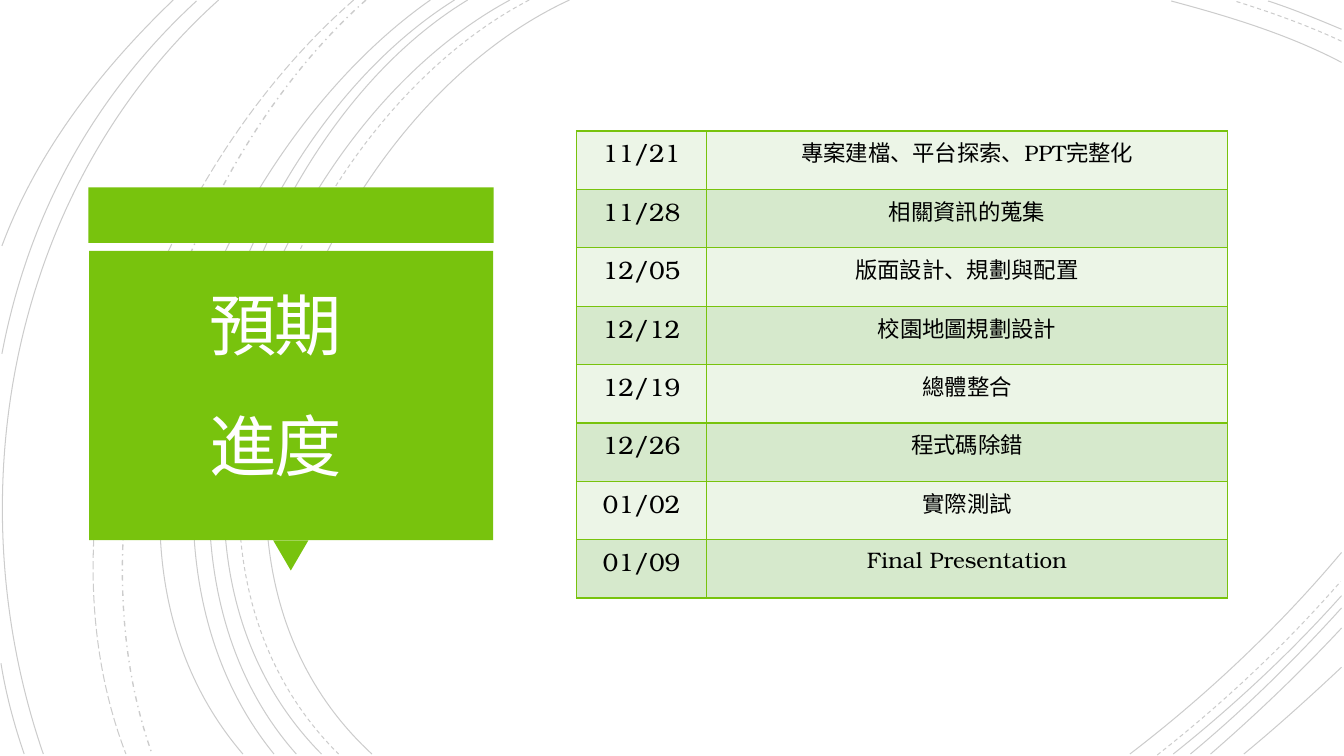
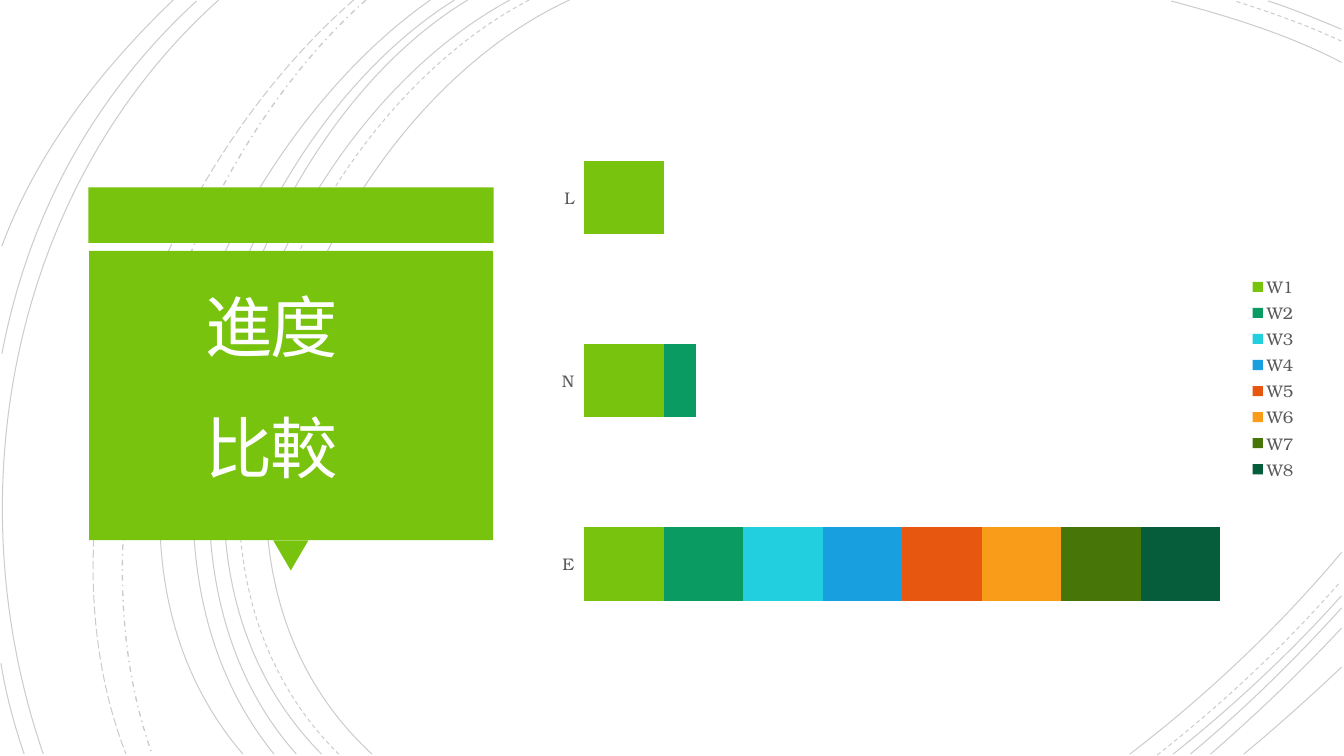
"""Build two schedule slides: a timetable and a progress chart."""
from lxml import etree
from pptx import Presentation
from pptx.chart.data import CategoryChartData
from pptx.dml.color import RGBColor
from pptx.enum.chart import XL_CHART_TYPE, XL_LEGEND_POSITION
from pptx.enum.dml import MSO_LINE
from pptx.enum.shapes import MSO_SHAPE
from pptx.enum.text import MSO_ANCHOR, PP_ALIGN
from pptx.oxml.ns import qn
from pptx.util import Pt

SOLID, DASH = MSO_LINE.SOLID, MSO_LINE.DASH
DASH_DOT, LONG_DASH = MSO_LINE.DASH_DOT, MSO_LINE.LONG_DASH
RECTANGLE, TRIANGLE = MSO_SHAPE.RECTANGLE, MSO_SHAPE.ISOSCELES_TRIANGLE
MIDDLE, CENTER = MSO_ANCHOR.MIDDLE, PP_ALIGN.CENTER
STACKED_BARS, LEGEND_RIGHT = XL_CHART_TYPE.BAR_STACKED, XL_LEGEND_POSITION.RIGHT

COLORS = {
    "accent": "78C30D", "title": "FFFEFF", "text": "000000", "label": "595959",
    "arc": "000000", "light row": "ECF5E7", "dark row": "D6E9CC",
    "W1": "78C30D", "W2": "099B62", "W3": "21CFDF", "W4": "179FDF",
    "W5": "E75710", "W6": "F89C19", "W7": "487508", "W8": "055D3B",
}
TITLE_FONT, BODY_FONT = "Calibri", "TeX Gyre Bonum"
ARC_OPACITY = 20

ARCS = {
    (SOLID, 0.75): [
        [(406.8, 0), (226.8, 82.8), (103, 388.8), (265.7, 538.6)],
        [(958.3, 44.6), (920.2, 24.5), (877, 11.5), (836.6, 0.7)],
        [(807.1, 538.6), (861.8, 496.8), (913.7, 447.8), (958.3, 394.6)],
        [(364.3, 0), (194.4, 91.4), (79.2, 386.6), (229.7, 538.6)],
        [(958.3, 20.9), (941, 13.7), (923.8, 6.5), (905.8, 0.7)],
        [(838.1, 538.6), (880.6, 504.7), (921.6, 466.6), (958.3, 425.5)],
        [(334.1, 0), (175.7, 95.8), (79.2, 389.5), (211.7, 538.6)],
        [(850.3, 538.6), (888.5, 506.9), (924.5, 471.6), (958.3, 434.2)],
        [(324.7, 0), (166.3, 99.4), (69.8, 383.8), (195.8, 538.6)],
        [(864.7, 538.6), (897.1, 510.5), (928.8, 480.2), (958.3, 448.6)],
        [(307.4, 0), (156.2, 105.8), (38.2, 380.9), (173.5, 538.6)],
        [(888.5, 538.6), (912.2, 519.1), (935.3, 498.2), (958.3, 476.6)],
        [(156.2, 0), (7.9, 133.2), (-33.1, 352.8), (31, 538.6)],
        [(140.4, 0.7), (66.2, 69.1), (20.2, 154.1), (1.4, 252.7)],
        [(0.7, 473.8), (4.3, 496.1), (10.1, 517.7), (17.3, 538.6)],
        [(123.8, 0), (72, 49.7), (26.6, 108), (1.4, 175.7)],
    ],
    (DASH, 0.75): [
        [(378, 0), (205.2, 90), (88.6, 386.6), (241.9, 538.6)],
        [(958.3, 29.5), (933.8, 18), (907.2, 8.6), (882, 0.7)],
        [(826.6, 539.3), (873.4, 502.6), (918, 460.8), (957.6, 415.4)],
    ],
    (DASH_DOT, 1): [[(261.4, 0), (126.7, 119.5), (46.8, 366.5), (108.7, 538.6)]],
    (LONG_DASH, 0.75): [[(252.7, 0), (113, 121.7), (20.9, 359.3), (90, 538.6)]],
}

SCHEDULE = [
    ("11/21", "專案建檔、平台探索、PPT完整化"),
    ("11/28", "相關資訊的蒐集"),
    ("12/05", "版面設計、規劃與配置"),
    ("12/12", "校園地圖規劃設計"),
    ("12/19", "總體整合"),
    ("12/26", "程式碼除錯"),
    ("01/02", "實際測試"),
    ("01/09", "Final Presentation"),
]
PROGRESS = {"E": [100] * 8, "N": [100, 40] + [0] * 6, "L": [100] + [0] * 7}
WEEKS = [f"W{number}" for number in range(1, 9)]


def rgb(name):
    """Return the named colour."""
    return RGBColor.from_string(COLORS[name])


def style_font(font, size, color, face=BODY_FONT):
    """Set size, colour and typeface of a font."""
    font.size, font.name = Pt(size), face
    font.color.rgb = rgb(color)


def add_arc(shapes, points, dash, width):
    """Draw one faint open Bezier arc through its four control points."""
    start, *others = [(Pt(x), Pt(y)) for x, y in points]
    builder = shapes.build_freeform(*start)
    builder.add_line_segments(others, close=False)
    arc = builder.convert_to_shape()
    arc.shadow.inherit = False
    arc.fill.background()
    arc.line.width, arc.line.dash_style = Pt(width), dash
    arc.line.color.rgb = rgb("arc")
    arc_color = arc.line._get_or_add_ln().find(".//" + qn("a:srgbClr"))
    etree.SubElement(arc_color, qn("a:alpha"), val=str(ARC_OPACITY * 1000))
    outline = arc._element.find(".//" + qn("a:path"))
    segments = outline.findall(qn("a:lnTo"))
    curve = etree.SubElement(outline, qn("a:cubicBezTo"))
    for segment in segments:
        curve.append(segment[0])
        outline.remove(segment)


def add_block(shapes, kind, left, top, width, height, rotation=0):
    """Add one plain accent-coloured shape."""
    block = shapes.add_shape(kind, Pt(left), Pt(top), Pt(width), Pt(height))
    block.rotation = rotation
    block.shadow.inherit = False
    block.fill.solid()
    block.fill.fore_color.rgb = rgb("accent")
    block.line.fill.background()


def add_title(slide, text, left, top):
    """Add the large two-line title."""
    title = slide.shapes.add_textbox(Pt(left), Pt(top), Pt(275.8), Pt(193.7))
    frame = title.text_frame
    frame.word_wrap, frame.vertical_anchor = True, MIDDLE
    frame.margin_left = frame.margin_right = Pt(18)
    frame.margin_top = frame.margin_bottom = Pt(18)
    paragraph = frame.paragraphs[0]
    paragraph.text = text
    paragraph.alignment, paragraph.line_spacing = CENTER, 1.5
    style_font(paragraph.font, 48, "title", TITLE_FONT)
    paragraph._p.pPr.find(qn("a:defRPr")).set("spc", "-150")


def add_titled_slide(deck, title, left, top):
    """Add a slide with the arcs, the callout panel and its title."""
    slide = deck.slides.add_slide(deck.slide_layouts[6])
    backdrop = slide.shapes.add_group_shape().shapes
    for (dash, width), curves in ARCS.items():
        for points in curves:
            add_arc(backdrop, points, dash, width)
    callout = slide.shapes.add_group_shape().shapes
    add_block(callout, RECTANGLE, 63.2, 133.9, 289.4, 39.6)
    add_block(callout, TRIANGLE, 195.1, 385.9, 25.2, 21.6, 180)
    add_block(callout, RECTANGLE, 63.6, 179.3, 288.7, 206.6)
    add_title(slide, title, left, top)
    return slide


def add_borders(cell):
    """Draw a thin accent line on all four sides of a cell."""
    properties = cell._tc.get_or_add_tcPr()
    for position, side in enumerate(("lnL", "lnR", "lnT", "lnB")):
        border = etree.Element(qn(f"a:{side}"), w=str(Pt(1)))
        fill = etree.SubElement(border, qn("a:solidFill"))
        etree.SubElement(fill, qn("a:srgbClr"), val=COLORS["accent"])
        properties.insert(position, border)


def add_schedule(slide):
    """Add the timetable of dates and tasks."""
    widths, row_height = (92.9, 372.2), 41.7
    table = slide.shapes.add_table(
        len(SCHEDULE), len(widths), Pt(411.8), Pt(93.6),
        Pt(sum(widths)), Pt(row_height * len(SCHEDULE))).table
    table.first_row = table.horz_banding = False
    for column, width in zip(table.columns, widths):
        column.width = Pt(width)
    for index, (row, entries) in enumerate(zip(table.rows, SCHEDULE)):
        row.height = Pt(row_height)
        for cell, text, size in zip(row.cells, entries, (18, 16)):
            cell.fill.solid()
            cell.fill.fore_color.rgb = rgb("dark row" if index % 2 else "light row")
            add_borders(cell)
            paragraph = cell.text_frame.paragraphs[0]
            paragraph.text, paragraph.alignment = text, CENTER
            style_font(paragraph.font, size, "text")


def set_plot_layout(chart, **fractions):
    """Fix the inner plot area as fractions of the chart."""
    plot_area = chart._chartSpace.chart.plotArea
    for old in plot_area.findall(qn("c:layout")):
        plot_area.remove(old)
    layout = etree.Element(qn("c:layout"))
    manual = etree.SubElement(layout, qn("c:manualLayout"))
    settings = {"layoutTarget": "inner", "xMode": "edge", "yMode": "edge", **fractions}
    for tag, value in settings.items():
        etree.SubElement(manual, qn(f"c:{tag}"), val=str(value))
    plot_area.insert(0, layout)


def add_progress_chart(slide):
    """Add the stacked bars that compare weekly progress."""
    progress = CategoryChartData()
    progress.categories = list(PROGRESS)
    for week, values in zip(WEEKS, zip(*PROGRESS.values())):
        progress.add_series(week, values)
    chart = slide.shapes.add_chart(
        STACKED_BARS, Pt(390.2), Pt(63.4), Pt(543.6), Pt(413.3), progress).chart
    style_font(chart.font, 10, "text")
    chart.has_title = False
    chart.has_legend = True
    chart.legend.position = LEGEND_RIGHT
    chart.legend.include_in_layout = False
    style_font(chart.legend.font, 12, "label")
    bars = chart.plots[0]
    bars.gap_width, bars.overlap, bars.vary_by_categories = 150, 100, False
    for series in bars.series:
        series.format.fill.solid()
        series.format.fill.fore_color.rgb = rgb(series.name)
    style_font(chart.category_axis.tick_labels.font, 12, "label")
    chart.category_axis.format.line.fill.background()
    scale = chart.value_axis
    scale.visible = scale.has_major_gridlines = False
    scale.minimum_scale, scale.maximum_scale = 0, 900
    set_plot_layout(chart, x=0.05, y=0.03, w=0.94, h=0.95)


def main():
    """Build and save both slides."""
    deck = Presentation()
    deck.slide_width, deck.slide_height = Pt(960), Pt(540)
    add_schedule(add_titled_slide(deck, "預期\v進度", 59, 163.4))
    add_progress_chart(add_titled_slide(deck, "進度\v比較", 56.2, 164.9))
    deck.save("out.pptx")


main()
